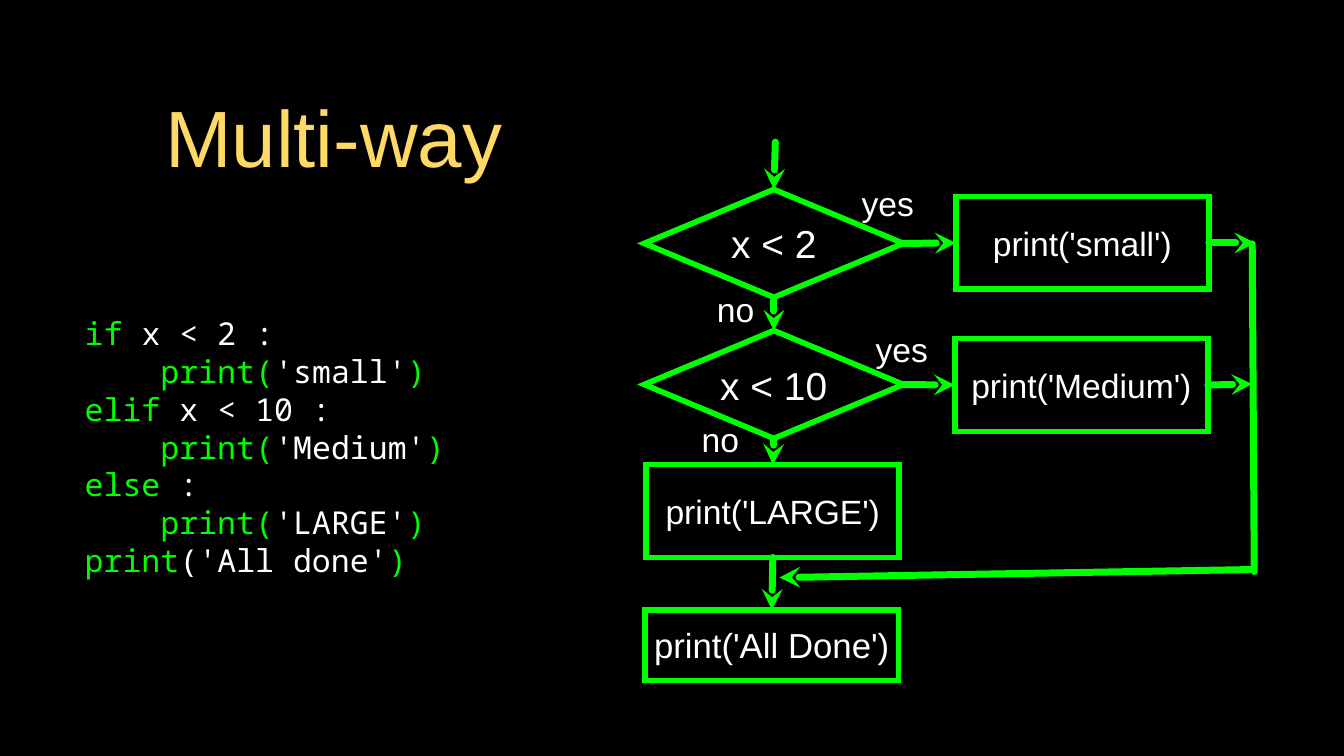
import pptx
import pptx.dml.color
import pptx.enum.shapes
import pptx.enum.text
import pptx.oxml.ns
import pptx.util
from lxml import etree

Inches = pptx.util.Inches
Shape = pptx.enum.shapes.MSO_SHAPE
Align = pptx.enum.text.PP_ALIGN
TOP, LEFT, BOTTOM, RIGHT = range(4)


def color(value):
    return pptx.dml.color.RGBColor.from_string(value)


def drawing(parent, tag, **attributes):
    return etree.SubElement(parent, pptx.oxml.ns.qn("a:" + tag), attributes)


def write(frame, lines, size, font="Arial", align=Align.CENTER, inset=0, wrap=True):
    """Fill a text frame; each line is a list of (text, colour) pairs."""
    frame.auto_size = pptx.enum.text.MSO_AUTO_SIZE.NONE
    frame.word_wrap = wrap
    frame.vertical_anchor = pptx.enum.text.MSO_ANCHOR.MIDDLE
    frame.margin_left = frame.margin_right = Inches(inset)
    frame.margin_top = frame.margin_bottom = Inches(inset)
    for number, line in enumerate(lines):
        para = frame.add_paragraph() if number else frame.paragraphs[0]
        para.alignment = align
        for text, hue in line:
            span = para.add_run()
            span.text = text
            span.font.size = pptx.util.Pt(size)
            span.font.name = font
            span.font.color.rgb = color(hue)


class FlowPage:
    """The current slide and the style of its elements."""

    black, green, white, gold = "000000", "00FF00", "FFFFFF", "FFD966"
    box_line, arrow_line = 4, 5

    def __init__(self, deck):
        self.page = deck.slides.add_slide(deck.slide_layouts[5])
        background = self.page.background.fill
        background.solid()
        background.fore_color.rgb = color(self.black)

    def title(self, text, left, top, width, height):
        box = self.page.shapes.title
        box.left, box.top = Inches(left), Inches(top)
        box.width, box.height = Inches(width), Inches(height)
        write(box.text_frame, [[(text, self.gold)]], 57, inset=0.03)

    def text(self, lines, left, top, width, height, size, **style):
        box = self.page.shapes.add_textbox(
            Inches(left), Inches(top), Inches(width), Inches(height))
        write(box.text_frame, lines, size, **style)

    def label(self, text, left, top, width):
        self.text([[(text, self.white)]], left, top, width, 0.4, 24)

    def node(self, kind, text, left, top, width, height, size):
        box = self.page.shapes.add_shape(
            kind, Inches(left), Inches(top), Inches(width), Inches(height))
        box.shadow.inherit = False
        box.fill.background()
        box.line.color.rgb = color(self.green)
        box.line.width = pptx.util.Pt(self.box_line)
        drawing(box.line._get_or_add_ln(), "miter", lim="800000")
        write(box.text_frame, [[(text, self.white)]], size)
        return box

    def test(self, text, top):
        return self.node(Shape.DIAMOND, text, 6.39, top, 2.57, 1.07, 27.8)

    def action(self, text, left, top, height=0.92, size=24):
        return self.node(Shape.RECTANGLE, text, left, top, 2.51, height, size)

    def connect(self, start, end, arrow=True):
        """Draw a line between two ends, each a point or a (shape, side) pair."""
        link = self.page.shapes.add_connector(
            pptx.enum.shapes.MSO_CONNECTOR.STRAIGHT, 0, 0, 0, 0)
        if isinstance(start[0], (int, float)):
            link.begin_x, link.begin_y = map(Inches, start)
        else:
            link.begin_connect(*start)
        if isinstance(end[0], (int, float)):
            link.end_x, link.end_y = map(Inches, end)
        else:
            link.end_connect(*end)
        link.line.color.rgb = color(self.green)
        link.line.width = pptx.util.Pt(self.arrow_line)
        outline = link.line._get_or_add_ln()
        outline.set("cap", "rnd")
        drawing(outline, "round")
        if arrow:
            drawing(outline, "tailEnd", type="stealth")
        drawing(link._element.spPr, "effectLst")


def main():
    deck = pptx.Presentation()
    deck.slide_width, deck.slide_height = Inches(13.33), Inches(7.5)
    flow = FlowPage(deck)
    green, white = flow.green, flow.white

    flow.title("Multi-way", 0.95, 0.61, 4.72, 1.47)

    def branch(keyword, condition, word):
        return [
            [(keyword, green), (condition, white)],
            [("    print(", green), (word, white), (")", green)],
        ]

    code = [
        *branch("if", " x < 2 :", "'small'"),
        *branch("elif", " x < 10 :", "'Medium'"),
        *branch("else", " :", "'LARGE'"),
        [("print", green), ("('All done'", white), (")", green)],
    ]
    flow.text(code, 0.84, 2.6, 4.19, 3.66, 22.5,
              font="Noto Sans Mono", align=Align.LEFT, wrap=False)

    below_two = flow.test("x < 2", 1.88)
    below_ten = flow.test("x < 10", 3.28)
    small = flow.action("print('small')", 9.48, 1.95)
    medium = flow.action("print('Medium')", 9.47, 3.36)
    large = flow.action("print('LARGE')", 6.41, 4.61)
    done = flow.action("print('All Done')", 6.4, 6.05, height=0.7, size=24.8)

    flow.connect((7.69, 1.41), (below_two, TOP))
    flow.connect((below_two, BOTTOM), (below_ten, TOP))
    flow.connect((below_ten, BOTTOM), (large, TOP))
    flow.connect((large, BOTTOM), (done, TOP))
    flow.connect((below_two, RIGHT), (small, LEFT))
    flow.connect((below_ten, RIGHT), (medium, LEFT))
    flow.connect((small, RIGHT), (12.45, 2.41))
    flow.connect((medium, RIGHT), (12.42, 3.81))
    flow.connect((12.42, 2.42), (12.44, 5.67), arrow=False)
    flow.connect((12.43, 5.65), (7.73, 5.73))

    flow.label("yes", 8.52, 1.81, 0.57)
    flow.label("no", 7.1, 2.87, 0.39)
    flow.label("yes", 8.63, 3.26, 0.63)
    flow.label("no", 6.95, 4.16, 0.39)

    deck.save("out.pptx")


if __name__ == "__main__":
    main()
